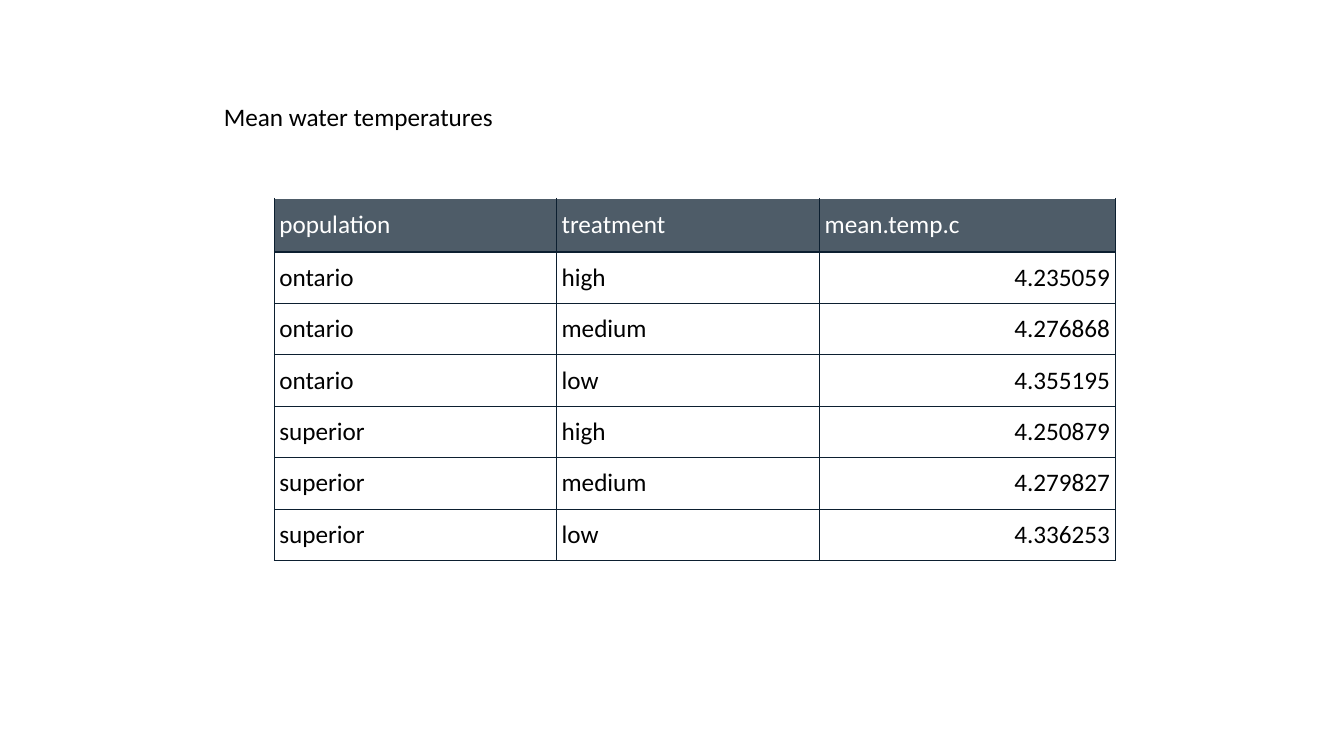
from dataclasses import dataclass

from lxml import etree
from pptx import Presentation
from pptx.dml.color import RGBColor
from pptx.enum.text import MSO_ANCHOR, MSO_AUTO_SIZE, PP_ALIGN
from pptx.oxml.ns import qn
from pptx.util import Inches, Pt

LEFT, RIGHT = PP_ALIGN.LEFT, PP_ALIGN.RIGHT
MIDDLE, TOP = MSO_ANCHOR.MIDDLE, MSO_ANCHOR.TOP
FIT_SHAPE = MSO_AUTO_SIZE.SHAPE_TO_FIT_TEXT
TITLE_ONLY = 5


@dataclass(frozen=True)
class Theme:
    font: str = "Calibri"
    size: int = 18
    text: str = "000000"
    header_text: str = "FFFFFF"
    header_fill: str = "4E5C68"
    border: str = "0C1F30"
    border_width: float = 0.75
    header_rule: float = 1


THEME = Theme()

HEADER = ("population", "treatment", "mean.temp.c")
ROWS = [
    ("ontario", "high", "4.235059"),
    ("ontario", "medium", "4.276868"),
    ("ontario", "low", "4.355195"),
    ("superior", "high", "4.250879"),
    ("superior", "medium", "4.279827"),
    ("superior", "low", "4.336253"),
]
COLUMN_WIDTHS = (2.8, 2.61, 2.93)
HEADER_HEIGHT, ROW_HEIGHT = 0.53, 0.51


def write_text(tf, text, color, align=LEFT):
    p = tf.paragraphs[0]
    p.alignment = align
    r = p.add_run()
    r.text = text
    r.font.name = THEME.font
    r.font.size = Pt(THEME.size)
    r.font.color.rgb = RGBColor.from_string(color)


def add_title(s, text, left, top, width, height):
    title = s.shapes.title
    title.left, title.top = Inches(left), Inches(top)
    title.width, title.height = Inches(width), Inches(height)
    tf = title.text_frame
    tf.word_wrap = False
    tf.auto_size = FIT_SHAPE
    tf.vertical_anchor = TOP
    write_text(tf, text, THEME.text)


def set_borders(cell, widths):
    """Draw the given sides, keyed L, R, T, B in schema order."""
    tc_pr = cell._tc.get_or_add_tcPr()
    for side, width in widths.items():
        ln = etree.SubElement(tc_pr, qn(f"a:ln{side}"), w=str(Pt(width)))
        fill = etree.SubElement(ln, qn("a:solidFill"))
        etree.SubElement(fill, qn("a:srgbClr"), val=THEME.border)


def format_cell(cell, text, row, col):
    is_header = row == 0
    cell.vertical_anchor = MIDDLE
    cell.margin_left = cell.margin_right = Inches(0.05)
    cell.margin_top = cell.margin_bottom = Inches(0.05 if is_header else 0.04)

    # Borders: the header has no top line and a heavier rule below
    thin, rule = THEME.border_width, THEME.header_rule
    widths = {"L": thin, "R": thin}
    if not is_header:
        widths["T"] = rule if row == 1 else thin
    widths["B"] = rule if is_header else thin
    set_borders(cell, widths)

    # Fill and text
    if is_header:
        cell.fill.solid()
        cell.fill.fore_color.rgb = RGBColor.from_string(THEME.header_fill)
    else:
        cell.fill.background()
    is_number = not is_header and col == len(HEADER) - 1
    write_text(cell.text_frame, text,
               THEME.header_text if is_header else THEME.text,
               RIGHT if is_number else LEFT)


def add_data_table(s, left, top):
    heights = [HEADER_HEIGHT] + [ROW_HEIGHT] * len(ROWS)
    frame = s.shapes.add_table(
        len(heights), len(HEADER), Inches(left), Inches(top),
        Inches(sum(COLUMN_WIDTHS)), Inches(sum(heights)))
    table = frame.table
    table.first_row = True
    table.horz_banding = False
    for column, width in zip(table.columns, COLUMN_WIDTHS):
        column.width = Inches(width)
    for row, height in zip(table.rows, heights):
        row.height = Inches(height)
    for i, values in enumerate([HEADER] + ROWS):
        for j, text in enumerate(values):
            format_cell(table.cell(i, j), text, i, j)


def main():
    prs = Presentation()
    prs.slide_width, prs.slide_height = Inches(13.33), Inches(7.5)
    s = prs.slides.add_slide(prs.slide_layouts[TITLE_ONLY])

    # Title
    add_title(s, "Mean water temperatures", 2.12, 0.95, 2.9, 0.4)

    # Temperature table
    add_data_table(s, 2.72, 1.97)

    prs.save("out.pptx")


if __name__ == "__main__":
    main()
